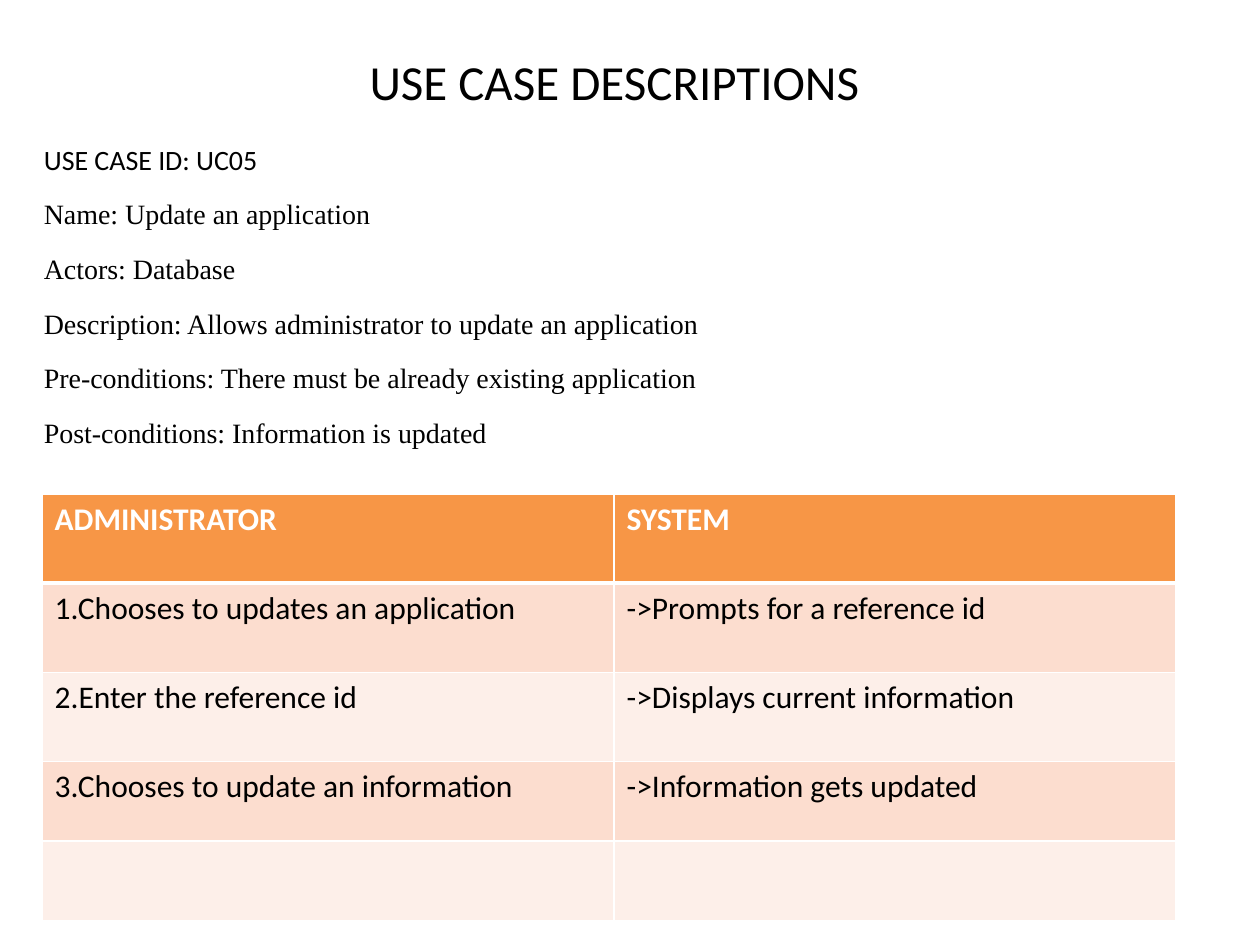
from lxml import etree
from pptx import Presentation
from pptx.dml.color import RGBColor
from pptx.enum import text
from pptx.oxml import ns
from pptx.util import Pt

COLORS = {"ink": "000000", "white": "FFFFFF", "header": "F79646",
          "band": "FCDDCF", "pale": "FDEFE9"}


def style(paragraph, size, color="ink", font="Calibri", bold=False):
    for span in paragraph.runs:
        span.font.size = Pt(size)
        span.font.name = font
        span.font.bold = bold
        span.font.color.rgb = RGBColor.from_string(COLORS[color])


def add_border(cell, side, width):
    properties = cell._tc.get_or_add_tcPr()
    line = etree.SubElement(properties, ns.qn("a:ln" + side), w=str(Pt(width)))
    fill = etree.SubElement(line, ns.qn("a:solidFill"))
    etree.SubElement(fill, ns.qn("a:srgbClr"), val=COLORS["white"])


deck = Presentation()
deck.slide_width, deck.slide_height = Pt(720), Pt(540)
page = deck.slides.add_slide(deck.slide_layouts[6])

title = page.shapes.add_textbox(Pt(36), Pt(12.24), Pt(630), Pt(68.4))
title.text_frame.word_wrap = True
title.text_frame.vertical_anchor = text.MSO_ANCHOR.MIDDLE
title.text_frame.text = "USE CASE DESCRIPTIONS"
title.text_frame.paragraphs[0].alignment = text.PP_ALIGN.CENTER
style(title.text_frame.paragraphs[0], 28)

details = page.shapes.add_textbox(Pt(18), Pt(77.76), Pt(684), Pt(450))
details.text_frame.word_wrap = True
details.text_frame.text = "\n".join([
    "USE CASE ID: UC05",
    "Name: Update an application",
    "Actors: Database",
    "Description: Allows administrator to update an application",
    "Pre-conditions: There must be already existing application",
    "Post-conditions: Information is updated",
])
for index, para in enumerate(details.text_frame.paragraphs):
    para.space_before = Pt(3.2)
    if index:
        para.line_spacing = Pt(28)
    style(para, 16, font="Times New Roman" if index else "Calibri")

steps = [
    ("ADMINISTRATOR", "SYSTEM"),
    ("1.Chooses to updates an application", "->Prompts for a reference id"),
    ("2.Enter the reference id", "->Displays current information"),
    ("3.Chooses to update an information", "->Information gets updated"),
    ("", ""),
]
row_heights = [51, 51, 51, 45.4, 45.4]
table = page.shapes.add_table(len(steps), 2, Pt(24), Pt(282.24),
                              Pt(648), Pt(sum(row_heights))).table
for column, width in zip(table.columns, (326.88, 321.12)):
    column.width = Pt(width)
for index, (row, height, words) in enumerate(zip(table.rows, row_heights, steps)):
    row.height = Pt(height)
    header = index == 0
    fill = "header" if header else ("pale", "band")[index % 2]
    for cell, wording in zip(row.cells, words):
        cell.text = wording
        style(cell.text_frame.paragraphs[0], 18,
              "white" if header else "ink", bold=header)
        for side in "LRTB":
            heavy = (header and side == "B") or (index == 1 and side == "T")
            add_border(cell, side, 3 if heavy else 1)
        cell.fill.solid()
        cell.fill.fore_color.rgb = RGBColor.from_string(COLORS[fill])

deck.save("out.pptx")
